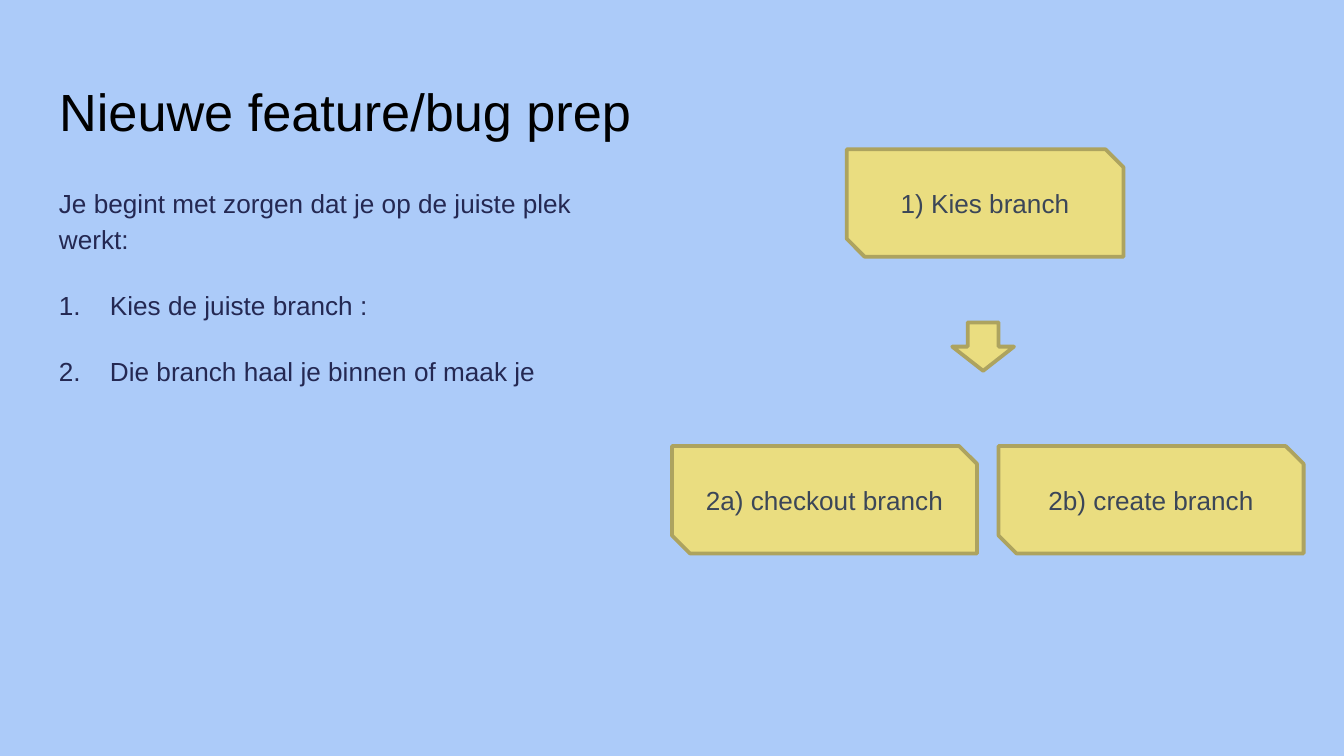
from dataclasses import dataclass

from lxml.etree import SubElement
from pptx import Presentation
from pptx.dml.color import RGBColor
from pptx.enum.shapes import MSO_SHAPE as Preset
from pptx.enum.text import MSO_ANCHOR as Anchor, MSO_AUTO_SIZE as AutoSize, PP_ALIGN as Align
from pptx.oxml.ns import qn
from pptx.util import Inches, Pt

SLIDE_WIDTH = Inches(10)
SLIDE_HEIGHT = SLIDE_WIDTH * 9 // 16
GRID = 100
MARGIN = 3.4
BACKGROUND, TITLE_INK, BODY_INK = "ACCBF9", "000000", "242852"
STEP_FILL, STEP_LINE, STEP_INK = "EADD80", "ADA35F", "3B4658"
STEP_HEIGHT = 14.2
CHOICE_LEFT, CHOICE_WIDTH, CHOICE_PITCH, CHOICE_TOP = 50, 22.7, 24.3, 59


@dataclass(frozen=True)
class Area:
    col: float
    row: float
    cols: float
    rows: float

    def box(self) -> tuple[int, int, int, int]:
        return (
            round(SLIDE_WIDTH * self.col / GRID),
            round(SLIDE_HEIGHT * self.row / GRID),
            round(SLIDE_WIDTH * self.cols / GRID),
            round(SLIDE_HEIGHT * self.rows / GRID),
        )


@dataclass(frozen=True)
class Step:
    label: str
    area: Area


TITLE_AREA = Area(MARGIN, 8.7, 93.2, 11.2)
BODY_AREA = Area(MARGIN, 22.4, 43.7, 66.5)
ARROW_AREA = Area(71.35, 41.77, 3.6, 8.18)

INTRO = "Je begint met zorgen dat je op de juiste plek werkt:"
INSTRUCTIONS = ["Kies de juiste branch :", "Die branch haal je binnen of maak je"]
CHOICES = ["2a) checkout branch", "2b) create branch"]
FIRST_STEP = Step("1) Kies branch", Area(63, 19.75, 20.6, STEP_HEIGHT))
CHOICE_STEPS = [
    Step(label, Area(CHOICE_LEFT + i * CHOICE_PITCH, CHOICE_TOP, CHOICE_WIDTH, STEP_HEIGHT))
    for i, label in enumerate(CHOICES)
]


def color(hex_code: str) -> RGBColor:
    return RGBColor.from_string(hex_code)


def add_run(paragraph, text: str, size: float, ink: str) -> None:
    run = paragraph.add_run()
    run.text = text
    run.font.name = "Arial"
    run.font.size = Pt(size)
    run.font.color.rgb = color(ink)


def set_frame(frame, anchor: Anchor, inset: float) -> None:
    frame.word_wrap = True
    frame.auto_size = AutoSize.NONE
    frame.vertical_anchor = anchor
    frame.margin_left = frame.margin_right = Inches(inset)
    frame.margin_top = frame.margin_bottom = Inches(inset)


def number_paragraph(paragraph) -> None:
    properties = paragraph._p.get_or_add_pPr()
    properties.set("marL", str(Inches(0.38)))
    properties.set("indent", str(-Inches(0.38)))
    bullet_color = SubElement(properties, qn("a:buClr"))
    SubElement(bullet_color, qn("a:srgbClr"), val=BODY_INK)
    SubElement(properties, qn("a:buFont"), typeface="Arial")
    SubElement(properties, qn("a:buAutoNum"), type="arabicPeriod")


def write_title(slide) -> None:
    title = slide.shapes.title
    title.left, title.top, title.width, title.height = TITLE_AREA.box()
    set_frame(title.text_frame, Anchor.TOP, 0.1)
    heading = title.text_frame.paragraphs[0]
    heading.alignment = Align.LEFT
    add_run(heading, "Nieuwe feature/bug prep", 28, TITLE_INK)


def write_body(slide) -> None:
    frame = slide.shapes.add_textbox(*BODY_AREA.box()).text_frame
    set_frame(frame, Anchor.TOP, 0.1)
    for i, text in enumerate([INTRO, *INSTRUCTIONS]):
        paragraph = frame.add_paragraph() if i else frame.paragraphs[0]
        paragraph.line_spacing = 1.15
        paragraph.space_after = Pt(16)
        if i:
            number_paragraph(paragraph)
        add_run(paragraph, text, 14, BODY_INK)


def draw_shape(slide, preset: Preset, area: Area):
    shape = slide.shapes.add_shape(preset, *area.box())
    shape.shadow.inherit = False
    shape.fill.solid()
    shape.fill.fore_color.rgb = color(STEP_FILL)
    shape.line.color.rgb = color(STEP_LINE)
    shape.line.width = Pt(2)
    return shape


def draw_step(slide, step: Step) -> None:
    frame = draw_shape(slide, Preset.SNIP_2_DIAG_RECTANGLE, step.area).text_frame
    set_frame(frame, Anchor.MIDDLE, 0.05)
    frame.paragraphs[0].alignment = Align.CENTER
    add_run(frame.paragraphs[0], step.label, 14, STEP_INK)


def main() -> None:
    deck = Presentation()
    deck.slide_width, deck.slide_height = SLIDE_WIDTH, SLIDE_HEIGHT
    slide = deck.slides.add_slide(deck.slide_layouts.get_by_name("Title Only"))
    slide.background.fill.solid()
    slide.background.fill.fore_color.rgb = color(BACKGROUND)
    write_title(slide)
    write_body(slide)
    draw_step(slide, FIRST_STEP)
    draw_shape(slide, Preset.RIGHT_ARROW, ARROW_AREA).rotation = 90
    for choice in CHOICE_STEPS:
        draw_step(slide, choice)
    deck.save("out.pptx")


if __name__ == "__main__":
    main()
